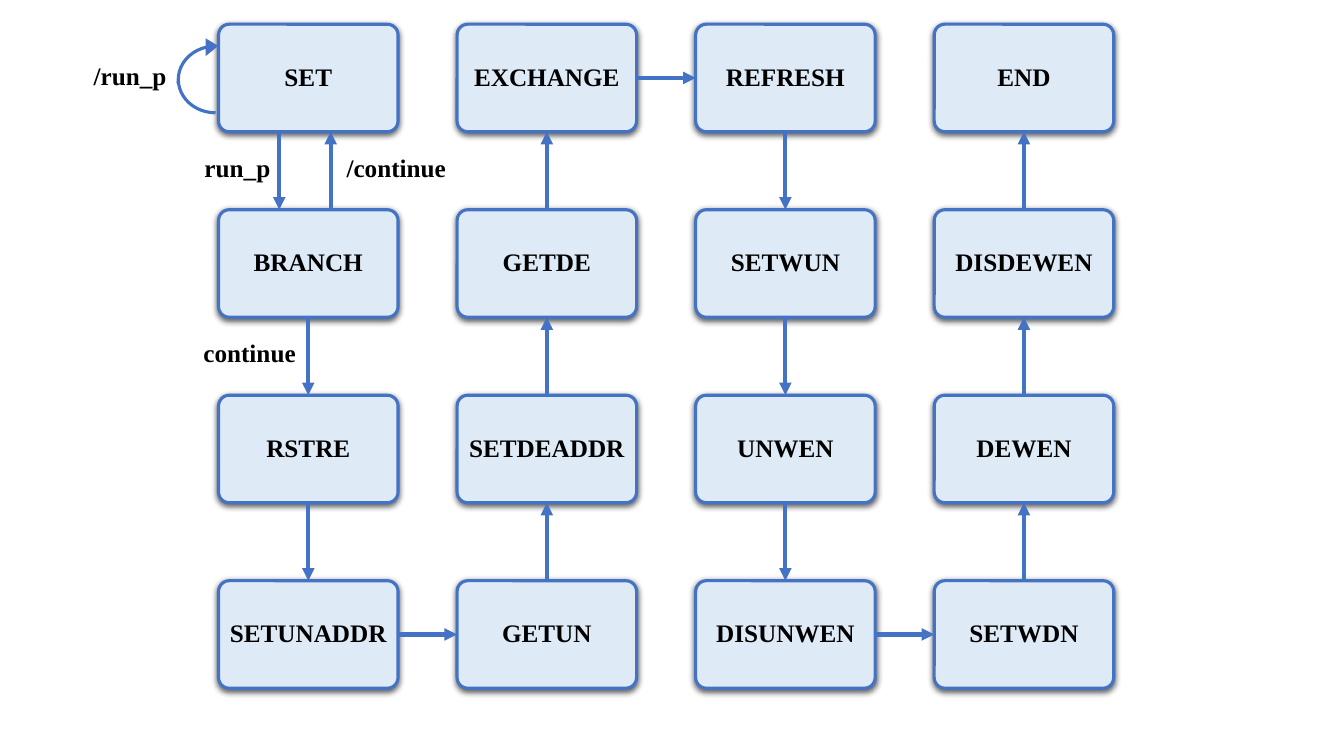
from itertools import pairwise

from lxml.etree import SubElement
from pptx import Presentation
from pptx.dml.color import RGBColor
from pptx.enum.shapes import MSO_CONNECTOR, MSO_SHAPE
from pptx.enum.text import MSO_ANCHOR, MSO_AUTO_SIZE, PP_ALIGN
from pptx.oxml import parse_xml
from pptx.oxml.ns import nsdecls, qn
from pptx.util import Pt

BLUE = RGBColor(0x44, 0x72, 0xC4)
PALE_BLUE = RGBColor(0xDE, 0xEB, 0xF7)
BLACK = RGBColor(0, 0, 0)
FONT_FORMAT = {"name": "Times New Roman", "size": Pt(18), "bold": True}
INSETS = ("margin_left", "margin_top", "margin_right", "margin_bottom")

BOX_LEFT, BOX_TOP = 156.1, 17.3
BOX_WIDTH, BOX_HEIGHT = 128.2, 76.8
COLUMN_STEP, ROW_STEP = 170.4, 132.5
ROWS = 4
TOP, LEFT, BOTTOM, RIGHT = range(4)

# States in order of the flow: down one column, up the next
STATES = (
    "SET", "BRANCH", "RSTRE", "SETUNADDR",
    "GETUN", "SETDEADDR", "GETDE", "EXCHANGE",
    "REFRESH", "SETWUN", "UNWEN", "DISUNWEN",
    "SETWDN", "DEWEN", "DISDEWEN", "END",
)
# Text, left, top, width
CONDITIONS = (
    ("run_p", 139, 105.1, 61.9),
    ("/run_p", 59.8, 39.6, 67),
    ("continue", 138.2, 237.6, 81.4),
    ("/continue", 240.5, 105.1, 86.4),
)
SHADOW_XML = (
    f'<a:effectLst {nsdecls("a")}>'
    '<a:outerShdw blurRad="57150" dist="19050" dir="5400000" algn="ctr" rotWithShape="0">'
    '<a:srgbClr val="000000"><a:alpha val="63000"/></a:srgbClr>'
    "</a:outerShdw></a:effectLst>"
)


def write_text(frame, text):
    para = frame.paragraphs[0]
    span = para.add_run()
    span.text = text
    for name, value in FONT_FORMAT.items():
        setattr(span.font, name, value)
    span.font.color.rgb = BLACK
    return para


def add_arrow(x1=0, y1=0, x2=0, y2=0):
    arrow = slide.shapes.add_connector(
        MSO_CONNECTOR.STRAIGHT, Pt(x1), Pt(y1), Pt(x2), Pt(y2))
    arrow.line.color.rgb = BLUE
    arrow.line.width = Pt(3)
    SubElement(arrow.line._get_or_add_ln(), qn("a:tailEnd"), type="triangle")
    SubElement(arrow._element.spPr, qn("a:effectLst"))
    return arrow


deck = Presentation()
deck.slide_width, deck.slide_height = Pt(960), Pt(540)
slide = deck.slides.add_slide(deck.slide_layouts[6])

# State boxes
boxes = []
for index, state in enumerate(STATES):
    column, row = divmod(index, ROWS)
    if column % 2:
        row = ROWS - 1 - row
    box = slide.shapes.add_shape(
        MSO_SHAPE.ROUNDED_RECTANGLE,
        Pt(BOX_LEFT + column * COLUMN_STEP), Pt(BOX_TOP + row * ROW_STEP),
        Pt(BOX_WIDTH), Pt(BOX_HEIGHT))
    box.adjustments[0] = 0.1
    box.fill.solid()
    box.fill.fore_color.rgb = PALE_BLUE
    box.line.color.rgb = BLUE
    box.line.width = Pt(2.25)
    box._element.spPr.append(parse_xml(SHADOW_XML))
    frame = box.text_frame
    frame.word_wrap = True
    frame.vertical_anchor = MSO_ANCHOR.MIDDLE
    for inset in INSETS:
        setattr(frame, inset, Pt(3))
    para = write_text(frame, state)
    para.alignment = PP_ALIGN.CENTER
    para.line_spacing = 0.9
    boxes.append(box)

# Two-way link between SET and BRANCH
set_bottom, branch_top = BOX_TOP + BOX_HEIGHT, BOX_TOP + ROW_STEP
add_arrow(199.5, set_bottom, 199.5, branch_top)
add_arrow(236.2, branch_top, 236.2, set_bottom)

# Flow through the remaining states
for source, target in pairwise(boxes[1:]):
    if source.top == target.top:
        sides = RIGHT, LEFT
    elif source.top < target.top:
        sides = BOTTOM, TOP
    else:
        sides = TOP, BOTTOM
    arrow = add_arrow()
    arrow.begin_connect(source, sides[0])
    arrow.end_connect(target, sides[1])

# SET waits on itself
loop = slide.shapes.add_shape(
    MSO_SHAPE.CURVED_RIGHT_ARROW, Pt(127.4), Pt(28.8), Pt(26.6), Pt(51.8))
for index, value in enumerate((0, 0.312, 0.221)):
    loop.adjustments[index] = value
loop._element.spPr.xfrm.set("flipV", "1")
loop.shadow.inherit = False
loop.fill.solid()
loop.fill.fore_color.rgb = BLUE
loop.line.color.rgb = BLUE
loop.line.width = Pt(2.25)
SubElement(loop.line._get_or_add_ln(), qn("a:miter"), lim="800000")

# Transition conditions
for text, left, top, width in CONDITIONS:
    label = slide.shapes.add_textbox(Pt(left), Pt(top), Pt(width), Pt(28.8))
    label.text_frame.word_wrap = False
    label.text_frame.auto_size = MSO_AUTO_SIZE.SHAPE_TO_FIT_TEXT
    write_text(label.text_frame, text)

deck.save("out.pptx")
